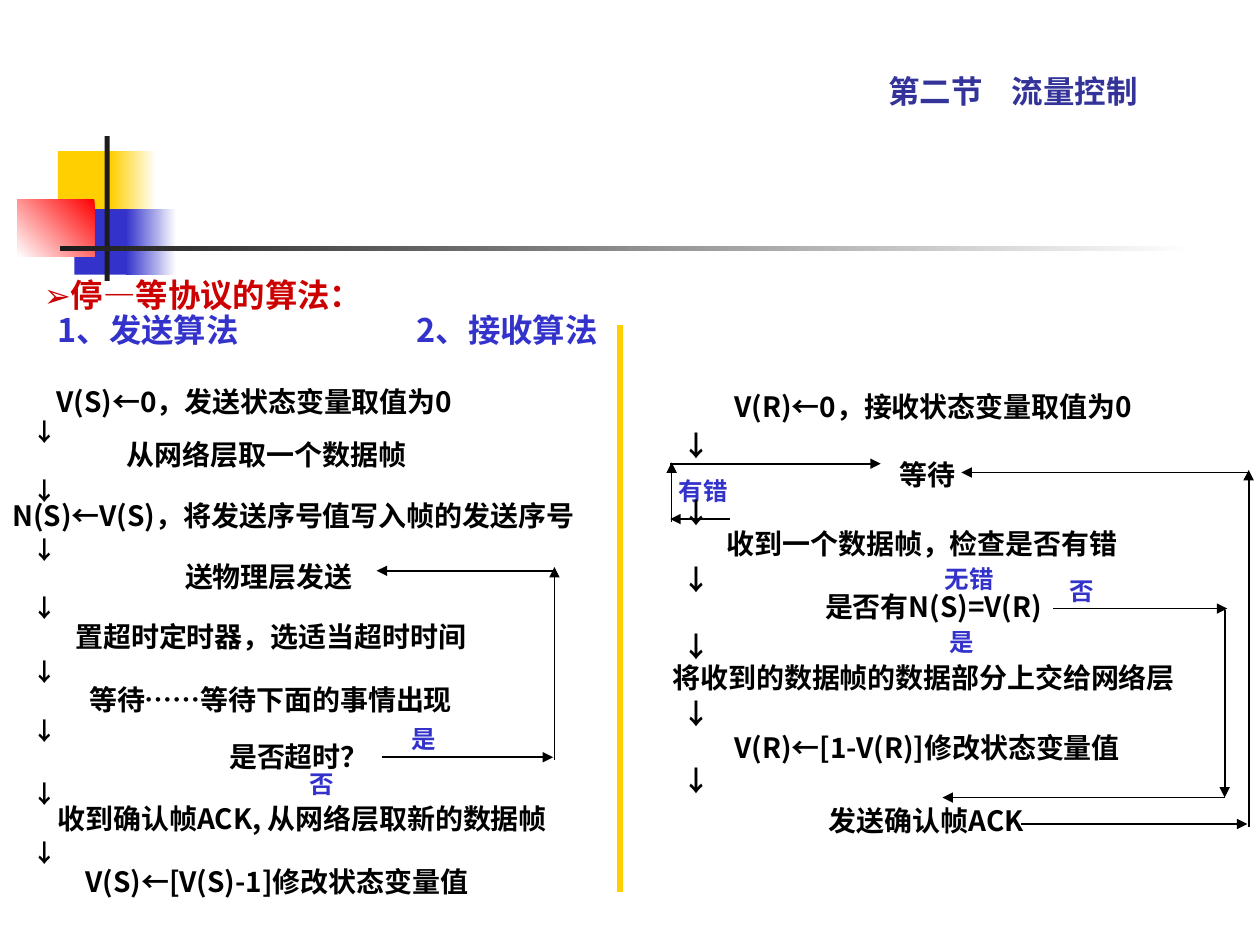
import pptx
import pptx.util
import pptx.dml.color
import pptx.enum.shapes
import pptx.enum.text
import pptx.oxml.ns
from lxml import etree

Inches = pptx.util.Inches
Pt = pptx.util.Pt
RGBColor = pptx.dml.color.RGBColor
qn = pptx.oxml.ns.qn
ALIGN = pptx.enum.text.PP_ALIGN
ANCHOR = pptx.enum.text.MSO_ANCHOR

BLACK = RGBColor(0x00, 0x00, 0x00)
WHITE = RGBColor(0xFF, 0xFF, 0xFF)
DARK = RGBColor(0x1C, 0x1C, 0x1C)
YELLOW = RGBColor(0xFF, 0xCF, 0x01)
BLUE = RGBColor(0x33, 0x33, 0xCC)
NAVY = RGBColor(0x33, 0x33, 0x99)
RED = RGBColor(0xFF, 0x00, 0x00)
CRIMSON = RGBColor(0xCC, 0x00, 0x00)


class Deck:
    font = "Noto Sans CJK SC"

    def __init__(self, width, height):
        self.prs = pptx.Presentation()
        self.prs.slide_width, self.prs.slide_height = Inches(width), Inches(height)
        self.s = self.prs.slides.add_slide(self.prs.slide_layouts[6])

    def bar(self, x, y, w, h, start, end=None, angle=180):
        """Rectangle, solid or with a gradient at a counterclockwise angle."""
        sp = self.s.shapes.add_shape(pptx.enum.shapes.MSO_SHAPE.RECTANGLE,
                                     *map(Inches, (x, y, w, h)))
        sp.shadow.inherit = False
        sp.line.fill.background()
        if end is None:
            sp.fill.solid()
            sp.fill.fore_color.rgb = start
        else:
            sp.fill.gradient()
            sp.fill.gradient_angle = angle
            for stop, color in zip(sp.fill.gradient_stops, (start, end)):
                stop.color.rgb = color

    def box(self, x, y, w, h, **frame):
        sp = self.s.shapes.add_textbox(*map(Inches, (x, y, w, h)))
        tf = sp.text_frame
        for name, value in {"word_wrap": True, **frame}.items():
            setattr(tf, name, value)
        return tf

    def run(self, p, text, size=16, color=BLACK, font=None):
        r = p.add_run()
        r.text = text
        font = font or self.font
        style = {"size": Pt(size), "bold": True, "name": font}
        for name, value in style.items():
            setattr(r.font, name, value)
        r.font.color.rgb = color
        etree.SubElement(r._r.get_or_add_rPr(), qn("a:ea"), typeface=font)

    def tabs(self, p, *stops):
        tab_list = etree.SubElement(p._p.get_or_add_pPr(), qn("a:tabLst"))
        for stop in stops:
            etree.SubElement(tab_list, qn("a:tab"), pos=str(Inches(stop)), algn="l")

    def label(self, text, x, y, w, h, size=16, color=BLACK):
        p = self.box(x, y, w, h).paragraphs[0]
        p.alignment = ALIGN.JUSTIFY
        self.run(p, text, size, color)

    def down_arrows(self, x, y, w, h, size, gaps):
        """Column of arrows; gaps are the points above each one."""
        tf = self.box(x, y, w, h)
        for i, gap in enumerate(gaps):
            p = tf.add_paragraph() if i else tf.paragraphs[0]
            p.space_before = Pt(gap)
            self.run(p, "↓", size)

    def line(self, x1, y1, x2, y2, color=BLACK, width=1, arrow=True):
        c = self.s.shapes.add_connector(pptx.enum.shapes.MSO_CONNECTOR.STRAIGHT,
                                        *map(Inches, (x1, y1, x2, y2)))
        c.line.color.rgb = color
        c.line.width = Pt(width)
        if arrow:
            etree.SubElement(c.line._get_or_add_ln(), qn("a:tailEnd"), type="triangle")
        etree.SubElement(c._element.spPr, qn("a:effectLst"))


def main():
    d = Deck(10, 7.5)

    # Corner decoration
    d.bar(0.46, 1.2, 0.48, 0.52, YELLOW)
    d.bar(0.88, 1.2, 0.36, 0.52, WHITE, YELLOW)
    d.bar(0.59, 1.66, 0.46, 0.52, BLUE)
    d.bar(1, 1.66, 0.4, 0.52, WHITE, BLUE)
    d.bar(0.14, 1.58, 0.61, 0.46, RED, WHITE, angle=225)
    d.bar(0.83, 1.08, 0.04, 1.15, DARK)
    d.bar(0.48, 1.95, 9, 0.04, WHITE, DARK)

    # Title
    tf = d.box(6.67, 0.42, 3.25, 0.5, vertical_anchor=ANCHOR.BOTTOM,
               margin_left=Inches(0.38))
    p = tf.paragraphs[0]
    d.tabs(p, 0.98)
    d.run(p, "第二节\t流量控制", 18, NAVY)

    # Headings
    tf = d.box(0.25, 2.17, 9.08, 0.75)
    p = tf.paragraphs[0]
    p.line_spacing = 0.9
    d.run(p, "➢", 18.5, CRIMSON, "Arial")
    d.run(p, "停—等协议的算法：", 18.5, CRIMSON)
    p = tf.add_paragraph()
    p.line_spacing = 0.9
    d.tabs(p, 0.11, 2.96)
    d.run(p, "\t1、发送算法\t2、接收算法", 18.5, BLUE)

    # Steps of both algorithms
    steps = [
        ("V(S)←0，发送状态变量取值为0", 0.35, 3, 3.67, 0.36),
        ("从网络层取一个数据帧", 0.91, 3.42, 2.67, 0.31),
        ("N(S)←V(S)，将发送序号值写入帧的发送序号", 0, 3.91, 4.9, 0.36),
        ("送物理层发送", 1.37, 4.39, 2.45, 0.36),
        ("置超时定时器，选适当超时时间", 0.5, 4.87, 4.12, 0.3),
        ("等待……等待下面的事情出现", 0.61, 5.37, 3.56, 0.36),
        ("是否超时？", 1.72, 5.82, 2.45, 0.36),
        ("收到确认帧ACK, 从网络层取新的数据帧", 0.36, 6.31, 5.06, 0.36),
        ("V(S)←[V(S)-1]修改状态变量值", 0.58, 6.81, 3.78, 0.36),
        ("V(R)←0，接收状态变量取值为0", 5.73, 3.04, 3.61, 0.32),
        ("等待", 7.04, 3.58, 0.89, 0.28),
        ("收到一个数据帧，检查是否有错", 5.67, 4.13, 3.41, 0.32),
        ("是否有N(S)=V(R)", 6.45, 4.63, 2.07, 0.32),
        ("将收到的数据帧的数据部分上交给网络层", 5.24, 5.19, 4.53, 0.35),
        ("V(R)←[1-V(R)]修改状态变量值", 5.73, 5.75, 3.5, 0.33),
        ("发送确认帧ACK", 6.48, 6.33, 3.15, 0.32),
    ]
    for step in steps:
        d.label(*step)

    # Branch labels
    branches = [
        ("是", 3.17, 5.7, 0.67, 0.36),
        ("否", 2.36, 6.05, 0.78, 0.48),
        ("是", 7.44, 4.93, 0.86, 0.32),
        ("否", 8.39, 4.52, 0.56, 0.43),
        ("有错", 5.29, 3.73, 0.66, 0.32),
        ("无错", 7.4, 4.43, 0.75, 0.32),
    ]
    for branch in branches:
        d.label(*branch, size=14, color=BLUE)

    # Downward arrows
    d.down_arrows(0.16, 3.26, 3.25, 3.9, 14, [0, 16.8, 16.8, 16.8, 19.4, 16.8, 19.4, 16.8])
    d.down_arrows(5.32, 3.35, 3.25, 3.3, 16, [0] + [19.1] * 5)

    # Loops: timeout, frame error, wrong number, back to waiting
    loops = [
        (3.03, 6.01, 4.39, 6.01), (4.4, 6.03, 4.4, 4.5), (4.41, 4.53, 2.99, 4.53),
        (5.79, 4.12, 5.32, 4.12), (5.33, 4.14, 5.33, 3.67), (5.32, 3.68, 6.99, 3.68),
        (8.36, 4.83, 9.74, 4.83), (9.72, 4.84, 9.72, 6.33), (9.72, 6.33, 7.48, 6.33),
        (8.1, 6.54, 9.9, 6.54), (9.91, 6.56, 9.91, 3.73), (9.92, 3.75, 7.63, 3.75),
    ]
    for loop in loops:
        d.line(*loop)

    # Divider
    d.line(4.92, 2.58, 4.92, 7.08, YELLOW, 3, arrow=False)

    d.prs.save("out.pptx")


if __name__ == "__main__":
    main()
